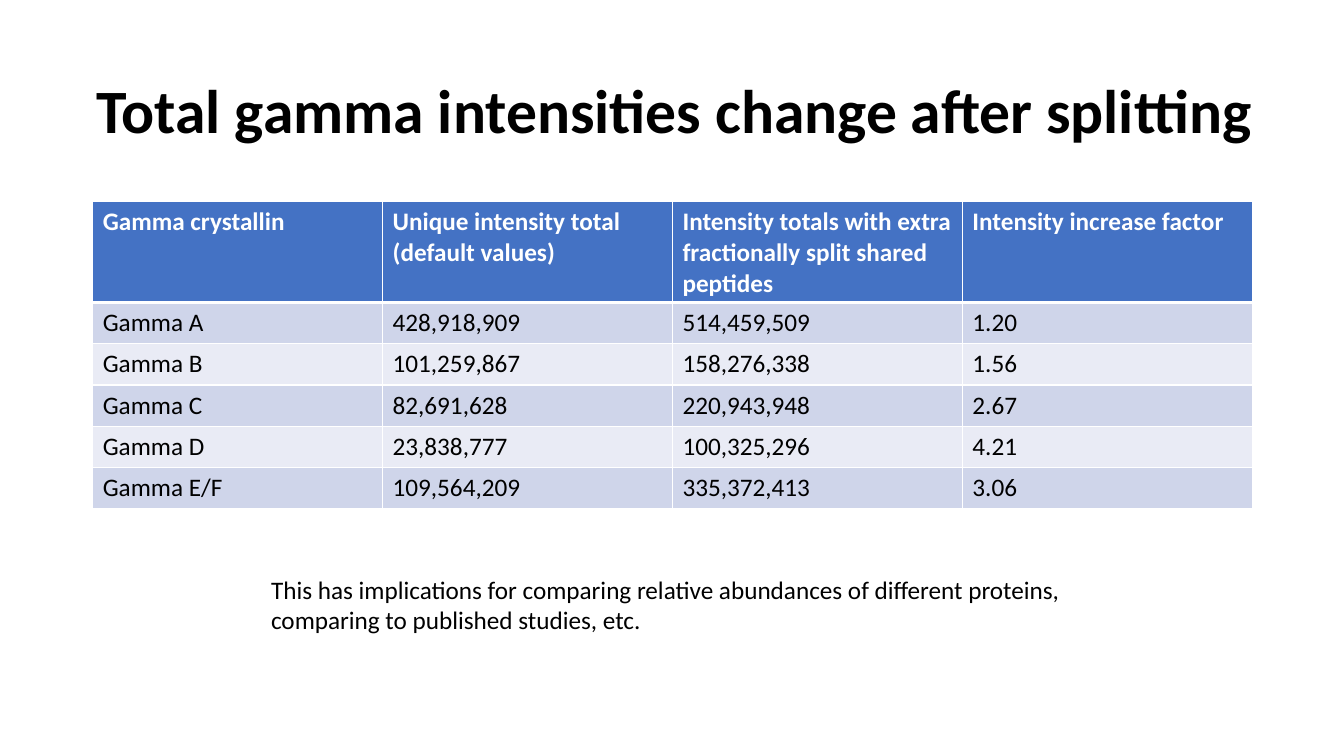
from dataclasses import dataclass

from lxml import etree
from pptx import Presentation
from pptx.dml.color import RGBColor
from pptx.enum.text import MSO_ANCHOR, MSO_AUTO_SIZE, PP_ALIGN
from pptx.oxml.ns import qn
from pptx.util import Inches, Pt

CENTER, LEFT = PP_ALIGN.CENTER, PP_ALIGN.LEFT
MIDDLE = MSO_ANCHOR.MIDDLE
FIT_SHAPE = MSO_AUTO_SIZE.SHAPE_TO_FIT_TEXT


@dataclass(frozen=True)
class Theme:
    font: str = "Calibri"
    text: str = "000000"
    white: str = "FFFFFF"
    header: str = "4472C4"
    bands: tuple = ("CFD5EA", "E9EBF5")
    title_size: int = 44
    body_size: int = 18
    rule: int = 1
    header_rule: int = 3


theme = Theme()


def add_run(paragraph, text, size, color, bold=False):
    run = paragraph.add_run()
    run.text = text
    run.font.name = theme.font
    run.font.size = Pt(size)
    run.font.bold = bold
    run.font.color.rgb = RGBColor.from_string(color)


def add_border(cell, side, width):
    properties = cell._tc.get_or_add_tcPr()
    line = etree.SubElement(properties, qn(f"a:ln{side}"), w=str(Pt(width)))
    fill = etree.SubElement(line, qn("a:solidFill"))
    etree.SubElement(fill, qn("a:srgbClr"), val=theme.white)


prs = Presentation()
prs.slide_width, prs.slide_height = Inches(13.33), Inches(7.5)
slide = prs.slides.add_slide(prs.slide_layouts[6])

# Title
title = slide.shapes.add_textbox(Inches(0.76), Inches(0.4), Inches(11.87), Inches(1.45))
title.text_frame.word_wrap = True
title.text_frame.vertical_anchor = MIDDLE
heading = title.text_frame.paragraphs[0]
heading.alignment = CENTER
heading.line_spacing = 0.9
add_run(heading, "Total gamma intensities change after splitting",
        theme.title_size, theme.text, bold=True)

# Intensity table
intensities = [
    ("Gamma crystallin", "Unique intensity total (default values)",
     "Intensity totals with extra fractionally split shared peptides",
     "Intensity increase factor"),
    ("Gamma A", "428,918,909", "514,459,509", "1.20"),
    ("Gamma B", "101,259,867", "158,276,338", "1.56"),
    ("Gamma C", "82,691,628", "220,943,948", "2.67"),
    ("Gamma D", "23,838,777", "100,325,296", "4.21"),
    ("Gamma E/F", "109,564,209", "335,372,413", "3.06"),
]
table = slide.shapes.add_table(
    len(intensities), len(intensities[0]),
    Inches(0.92), Inches(2), Inches(11.5), Inches(3.03)).table

for r, values in enumerate(intensities):
    is_header = r == 0
    table.rows[r].height = Inches(1 if is_header else 0.41)
    fill_color = theme.header if is_header else theme.bands[(r - 1) % 2]
    for c, value in enumerate(values):
        cell = table.cell(r, c)
        for side in "LRTB":
            touches_header = (r, side) in ((0, "B"), (1, "T"))
            add_border(cell, side, theme.header_rule if touches_header else theme.rule)
        cell.fill.solid()
        cell.fill.fore_color.rgb = RGBColor.from_string(fill_color)
        add_run(cell.text_frame.paragraphs[0], value, theme.body_size,
                theme.white if is_header else theme.text, bold=is_header)

# Implications
implications = slide.shapes.add_textbox(
    Inches(2.59), Inches(5.65), Inches(8.13), Inches(0.71))
implications.text_frame.word_wrap = False
implications.text_frame.auto_size = FIT_SHAPE
remark = implications.text_frame.paragraphs[0]
remark.alignment = LEFT
add_run(remark, "This has implications for comparing relative abundances of different proteins,",
        theme.body_size, theme.text)
remark.add_line_break()
add_run(remark, "comparing to published studies, etc.", theme.body_size, theme.text)

prs.save("out.pptx")
